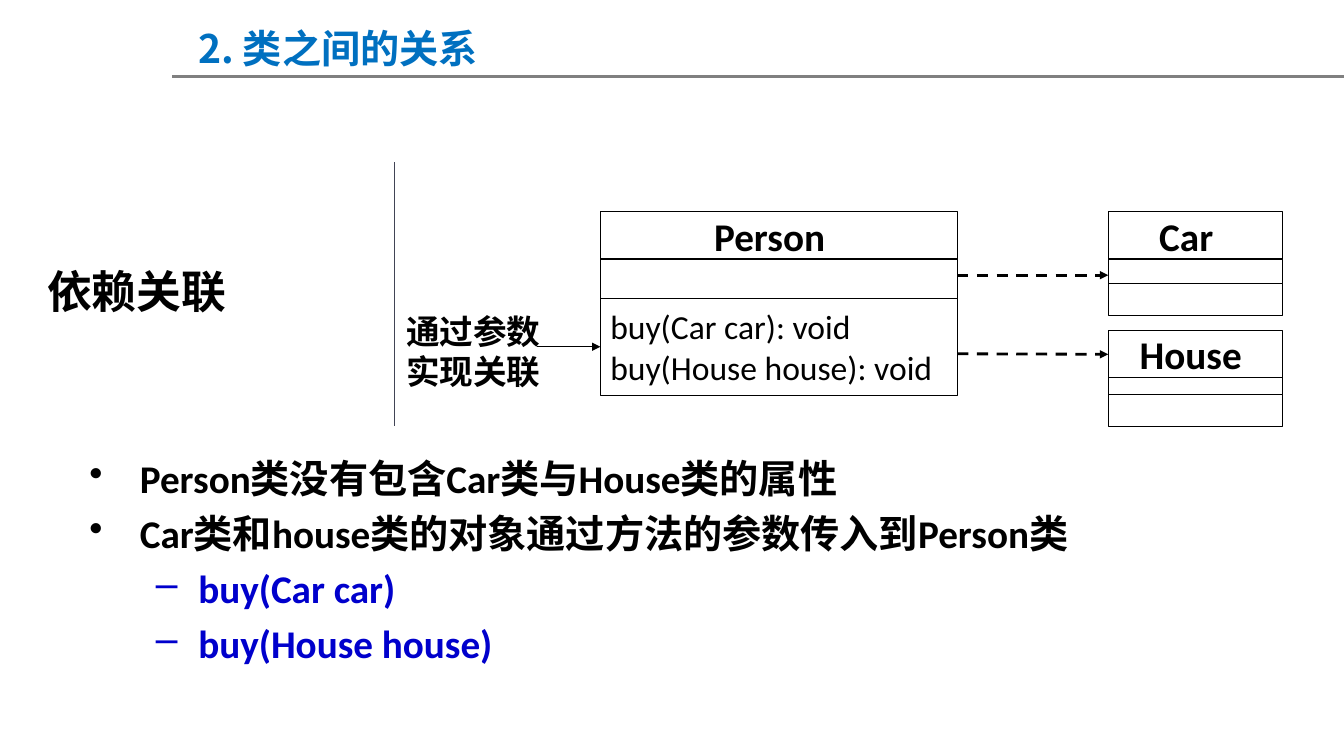
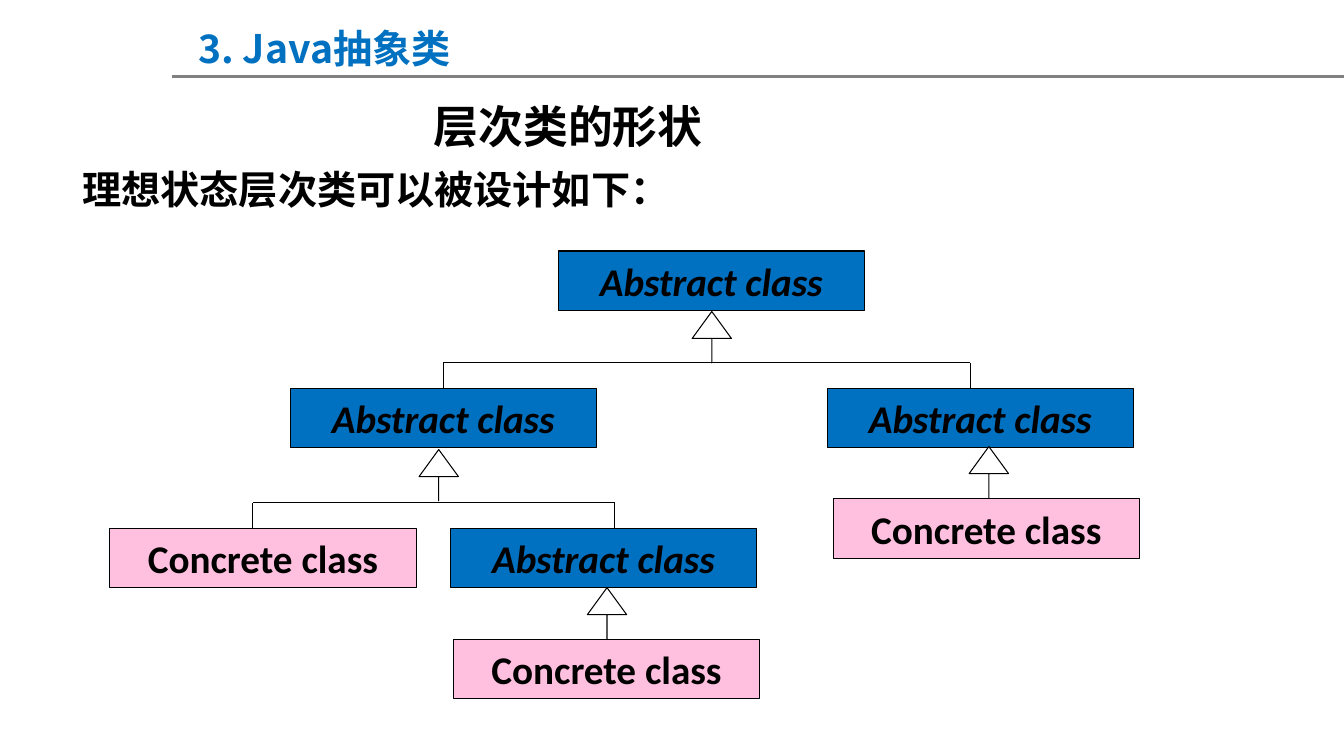
from dataclasses import dataclass

import pptx
import pptx.dml.color
import pptx.enum.dml
import pptx.enum.shapes
import pptx.enum.text
import pptx.oxml.ns
import pptx.util
from lxml import etree

EMU_PER_PX = 9144  # 100 px to the inch
SHAPES = pptx.enum.shapes.MSO_SHAPE
ALIGN = pptx.enum.text.PP_ALIGN
ANCHOR = pptx.enum.text.MSO_ANCHOR
TOP, LEFT = 0, 1


@dataclass(frozen=True)
class Theme:
    black: str = "000000"
    white: str = "FFFFFF"
    blue: str = "0070C0"
    code_blue: str = "0000CC"
    pink: str = "FF99CC"
    rule_grey: str = "808080"
    divider: str = "414455"
    latin: str = "Calibri"
    cjk: str = "Noto Sans CJK SC"
    heading: int = 32
    body: int = 28
    detail: int = 24
    hairline: float = 0.25
    thin: float = 0.75
    thick: float = 2
    pink_alpha: int = 62


THEME = Theme()


def px(value):
    return pptx.util.Emu(value * EMU_PER_PX)


def rgb(color):
    return pptx.dml.color.RGBColor.from_string(color)


def add_child(parent, tag, **attributes):
    return etree.SubElement(parent, pptx.oxml.ns.qn(tag), attributes)


def style_text(frame, size, color=THEME.black, font=THEME.latin, bold=True,
               italic=False, align=ALIGN.LEFT):
    for paragraph in frame.paragraphs:
        paragraph.alignment = align
        for run in paragraph.runs:
            run.font.size = pptx.util.Pt(size)
            run.font.bold = bold
            run.font.italic = italic
            run.font.color.rgb = rgb(color)
            run.font.name = font
            add_child(run.font._element, "a:ea", typeface=THEME.cjk)


def add_text(slide, box, text, size, wrap=True, margins=None, **style):
    frame = slide.shapes.add_textbox(*map(px, box)).text_frame
    frame.word_wrap = wrap
    if margins:
        side, edge = map(px, margins)
        frame.margin_left = frame.margin_right = side
        frame.margin_top = frame.margin_bottom = edge
    frame.text = text
    style_text(frame, size, **style)
    return frame


def add_outlined(slide, preset, box, fill=THEME.white):
    shape = slide.shapes.add_shape(preset, *map(px, box))
    shape.shadow.inherit = False
    shape.fill.solid()
    shape.fill.fore_color.rgb = rgb(fill)
    shape.line.color.rgb = rgb(THEME.black)
    shape.line.width = pptx.util.Pt(THEME.thin)
    return shape


def label(shape, text, size, **style):
    frame = shape.text_frame
    frame.word_wrap = False
    frame.vertical_anchor = ANCHOR.MIDDLE
    frame.text = text
    style_text(frame, size, **style)


def add_line(slide, start, end, color=THEME.black, width=THEME.thin,
             dashed=False, arrow=False, joined_to=None):
    """Draw a line; joined_to is the (shape, side) at which it ends."""
    line = slide.shapes.add_connector(
        pptx.enum.shapes.MSO_CONNECTOR.STRAIGHT, *map(px, start + end))
    if joined_to:
        line.end_connect(*joined_to)
    line.line.color.rgb = rgb(color)
    line.line.width = pptx.util.Pt(width)
    if dashed:
        line.line.dash_style = pptx.enum.dml.MSO_LINE.DASH
    if arrow:
        add_child(line.line._get_or_add_ln(), "a:tailEnd", type="triangle")
    add_child(line._element.spPr, "a:effectLst")


def add_titled_slide(deck, title):
    slide = deck.slides.add_slide(deck.slide_layouts[6])
    add_line(slide, (171, 76), (1334, 76), THEME.rule_grey, THEME.thick)
    add_text(slide, (187, 19, 685, 57), title, THEME.body,
             color=THEME.blue, font=THEME.cjk)
    return slide


def add_uml_class(slide, left, top, width, heights, name, name_shift):
    """Stack name, attribute and method compartments and return them."""
    compartments = []
    for height in heights:
        compartments.append(
            add_outlined(slide, SHAPES.RECTANGLE, (left, top, width, height)))
        top += height
    label(compartments[0], name, THEME.body, align=ALIGN.CENTER)
    compartments[0].text_frame.margin_right = px(10 + name_shift)
    return compartments


def add_bullets(slide, box, items):
    """items holds (text, bullet, indent, hanging, color) for each line."""
    frame = add_text(slide, box, "\n".join(item[0] for item in items), THEME.body)
    for i, (paragraph, item) in enumerate(zip(frame.paragraphs, items)):
        _, bullet, indent, hanging, color = item
        properties = paragraph._p.get_or_add_pPr()
        properties.set("marL", str(px(indent)))
        properties.set("indent", str(px(-hanging)))
        add_child(properties, "a:buChar", char=bullet)
        if i:
            paragraph.space_before = pptx.util.Pt(0.2 * THEME.body)
        for run in paragraph.runs:
            run.font.color.rgb = rgb(color)


def add_hierarchy_class(slide, left, top, abstract):
    node = add_outlined(slide, SHAPES.RECTANGLE, (left, top, 304, 59),
                        THEME.blue if abstract else THEME.pink)
    if not abstract:
        fill_color = node._element.spPr.find(".//" + pptx.oxml.ns.qn("a:srgbClr"))
        add_child(fill_color, "a:alpha", val=str(THEME.pink_alpha * 1000))
    label(node, "Abstract class" if abstract else "Concrete class", THEME.body,
          italic=abstract, align=ALIGN.CENTER)
    return node


def add_inheritance_arrow(slide, left, top):
    arrow = add_outlined(slide, SHAPES.UP_ARROW, (left, top, 39, 51))
    arrow.adjustments[0] = 0
    arrow.adjustments[1] = 0.687


def add_fork(slide, left, right, top, left_child=None):
    bottom = top + 25
    add_line(slide, (left, top), (right, top))
    add_line(slide, (left, top), (left, bottom),
             joined_to=left_child and (left_child, TOP))
    add_line(slide, (right, top), (right, bottom))


def build_dependency_slide(deck):
    slide = add_titled_slide(deck, "2. 类之间的关系")
    add_text(slide, (37, 257, 200, 64), "依赖关联", THEME.heading,
             wrap=False, font=THEME.cjk)
    add_line(slide, (391, 161), (391, 423), THEME.divider, THEME.hairline)

    _, _, methods = add_uml_class(slide, 596, 210, 354, (47, 39, 96), "Person", 18)
    label(methods, "buy(Car car): void\nbuy(House house): void",
          THEME.detail, bold=False)
    add_uml_class(slide, 1100, 210, 173, (47, 24, 32), "Car", 18)
    house, _, _ = add_uml_class(slide, 1100, 328, 173, (47, 16, 32), "House", 9)

    dependency = dict(width=THEME.thick, dashed=True, arrow=True)
    add_line(slide, (950, 351), (1100, 352), joined_to=(house, LEFT), **dependency)
    add_line(slide, (950, 273), (1100, 273), **dependency)
    add_text(slide, (399, 307, 150, 76), "通过参数\n实现关联", THEME.detail,
             margins=(4, 1))
    add_line(slide, (533, 344), (596, 344), arrow=True, joined_to=(methods, LEFT))

    point = ("•", 50, 50, THEME.black)
    call = ("–", 108, 42, THEME.code_blue)
    add_bullets(slide, (79, 446, 1147, 236), [
        ("Person类没有包含Car类与House类的属性", *point),
        ("Car类和house类的对象通过方法的参数传入到Person类", *point),
        ("buy(Car car)", *call),
        ("buy(House house)", *call),
    ])


def build_hierarchy_slide(deck):
    slide = add_titled_slide(deck, "3. Java抽象类")
    add_text(slide, (114, 93, 900, 69), "层次类的形状", THEME.heading,
             align=ALIGN.CENTER)
    add_text(slide, (72, 159, 910, 74), "理想状态层次类可以被设计如下：",
             THEME.body, font=THEME.cjk)

    left_branch = add_hierarchy_class(slide, 288, 385, abstract=True)
    for left, top in ((554, 249), (821, 385), (447, 524)):
        add_hierarchy_class(slide, left, top, abstract=True)
    for left, top in ((109, 524), (827, 495), (450, 634)):
        add_hierarchy_class(slide, left, top, abstract=False)

    add_fork(slide, 440, 963, 360, left_branch)
    add_fork(slide, 251, 610, 499)
    for left, top in ((687, 309), (416, 446), (962, 443), (583, 583)):
        add_inheritance_arrow(slide, left, top)


def main():
    deck = pptx.Presentation()
    deck.slide_width, deck.slide_height = px(1334), px(750)
    build_dependency_slide(deck)
    build_hierarchy_slide(deck)
    deck.save("out.pptx")


if __name__ == "__main__":
    main()
